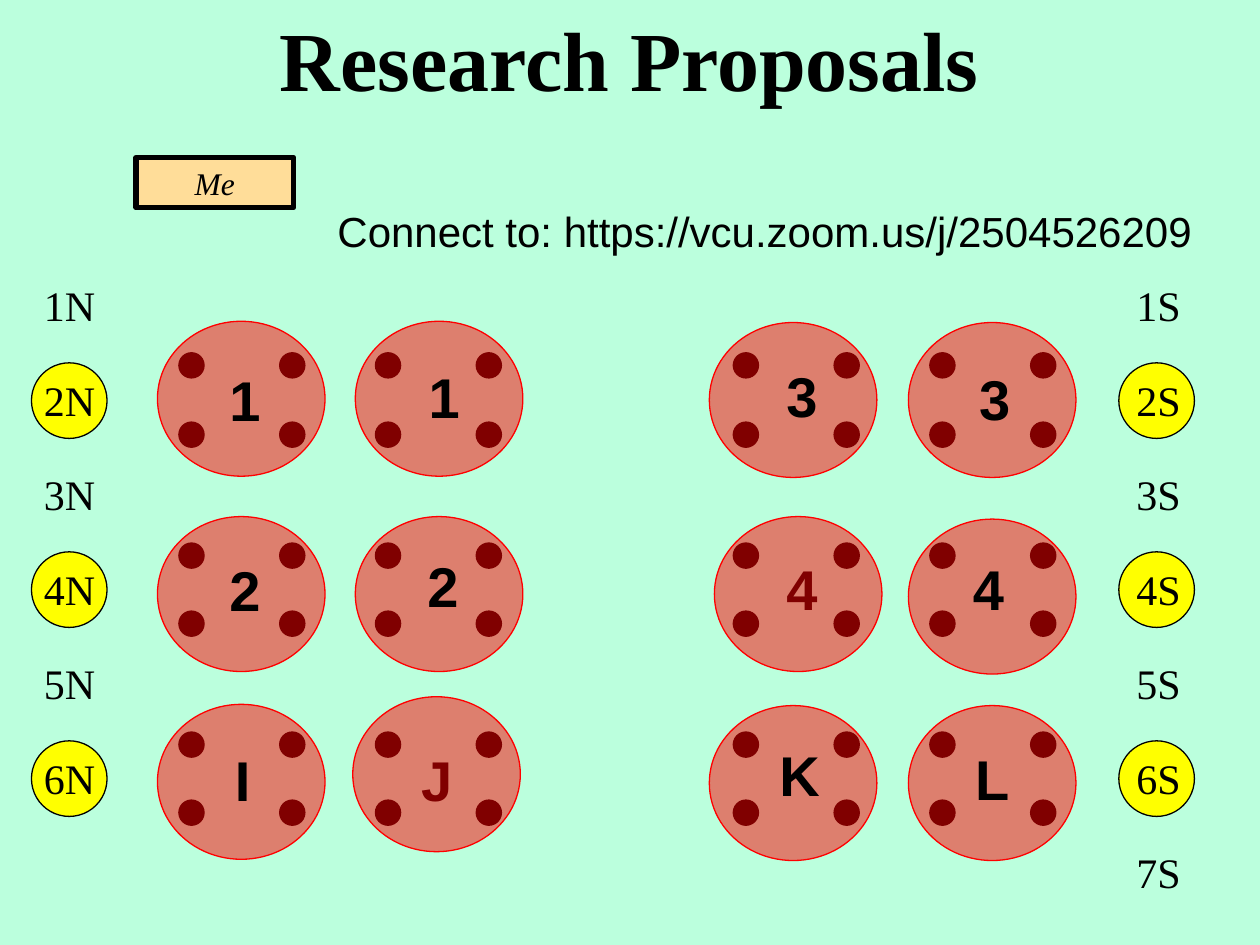
import pptx
import pptx.util
from pptx.dml.color import RGBColor
from pptx.enum.shapes import MSO_SHAPE
from pptx.enum.text import MSO_ANCHOR, PP_ALIGN
from pptx.oxml.xmlchemy import OxmlElement

Inches, Pt = pptx.util.Inches, pptx.util.Pt
SERIF, SANS = "Times New Roman", "Arial"

# side labels: left of column, left of circles, names
SIDES = [
    (0.25, 0.25, ["1N", "2N", "3N", "4N", "5N", "6N"]),
    (8.92, 8.88, ["1S", "2S", "3S", "4S", "5S", "6S", "7S"]),
]
SIDE_TOP, SIDE_STEP = 2.17, 0.75

SEAT_COLS = [1.42, 2.22, 2.98, 3.78, 5.82, 6.62, 7.38, 8.18]
SEAT_ROWS = [2.8, 3.35, 4.31, 4.85, 5.81, 6.35]

# tables: left, top, label, label left, label top
TABLES = [
    (1.25, 2.55, "1", 1.5, 2.85), (2.82, 2.55, "1", 3.08, 2.83),
    (5.63, 2.56, "3", 5.92, 2.82), (7.21, 2.56, "3", 7.45, 2.84),
    (1.25, 4.1, "2", 1.5, 4.36), (2.82, 4.1, "2", 3.07, 4.33),
    (7.21, 4.12, "4", 7.4, 4.35),
    (1.25, 5.59, "I", 1.48, 5.87),
    (5.63, 5.6, "K", 5.9, 5.83), (7.21, 5.6, "L", 7.43, 5.86),
]
# tables that lie over their labels
COVERING_TABLES = [(5.67, 4.1, "4", 5.92, 4.35), (2.8, 5.53, "J", 3.02, 5.87)]


def color(value):
    return RGBColor.from_string(value)


def add_shape(kind, x, y, w, h, fill, line="000000", weight=0.75, alpha=None):
    sp = s.shapes.add_shape(kind, Inches(x), Inches(y), Inches(w), Inches(h))
    sp.shadow.inherit = False
    sp.fill.solid()
    sp.fill.fore_color.rgb = color(fill)
    sp.line.color.rgb = color(line)
    sp.line.width = Pt(weight)
    if alpha is not None:
        a = OxmlElement("a:alpha")
        a.set("val", str(alpha * 1000))
        sp.fill._xPr.find(".//" + pptx.oxml.ns.qn("a:srgbClr")).append(a)
    return sp


def write(sp, text, size, font, align=PP_ALIGN.LEFT, bold=False, italic=False,
          anchor=MSO_ANCHOR.TOP):
    tf = sp.text_frame
    tf.word_wrap = True
    tf.vertical_anchor = anchor
    p = tf.paragraphs[0]
    p.text = text
    p.alignment = align
    p.font.size, p.font.name = Pt(size), font
    p.font.bold, p.font.italic = bold, italic
    p.font.color.rgb = color("000000")


def add_text(x, y, w, h, text, size, font, **style):
    sp = s.shapes.add_textbox(Inches(x), Inches(y), Inches(w), Inches(h))
    write(sp, text, size, font, **style)


def add_table_circle(x, y):
    add_shape(MSO_SHAPE.OVAL, x, y, 1.33, 1.23, "FF0000", "FF0000", alpha=50)


def add_table_label(text, x, y):
    add_text(x, y, 0.89, 0.64, text, 32, SANS, align=PP_ALIGN.CENTER, bold=True)


prs = pptx.Presentation()
prs.slide_width, prs.slide_height = Inches(10), Inches(7.5)
s = prs.slides.add_slide(prs.slide_layouts[5])
s.background.fill.solid()
s.background.fill.fore_color.rgb = color("BBFFDD")

title = s.shapes.title
title.left, title.top = Inches(0.87), Inches(0)
title.width, title.height = Inches(8.25), Inches(0.91)
write(title, "Research Proposals", 48, SERIF, PP_ALIGN.CENTER, bold=True,
      anchor=MSO_ANCHOR.BOTTOM)

me = add_shape(MSO_SHAPE.RECTANGLE, 1.08, 1.25, 1.25, 0.4, "FFDD99", weight=3)
write(me, "Me", 18, SERIF, PP_ALIGN.CENTER, italic=True, anchor=MSO_ANCHOR.MIDDLE)
add_text(2.58, 1.58, 7.17, 0.5, "Connect to: https://vcu.zoom.us/j/2504526209", 24, SANS)

for label_x, circle_x, names in SIDES:
    for i, name in enumerate(names):
        y = SIDE_TOP + i * SIDE_STEP
        if i % 2:
            add_shape(MSO_SHAPE.OVAL, circle_x, y - 0.04, 0.6, 0.6, "FFFF00")
        add_text(label_x, y, 0.67, 0.5, name, 24, SERIF)

for y in SEAT_ROWS:
    for x in SEAT_COLS:
        add_shape(MSO_SHAPE.OVAL, x, y, 0.2, 0.2, "000000")

for x, y, label, label_x, label_y in TABLES:
    add_table_circle(x, y)
    add_table_label(label, label_x, label_y)
for x, y, label, label_x, label_y in COVERING_TABLES:
    add_table_label(label, label_x, label_y)
    add_table_circle(x, y)

prs.save("out.pptx")
